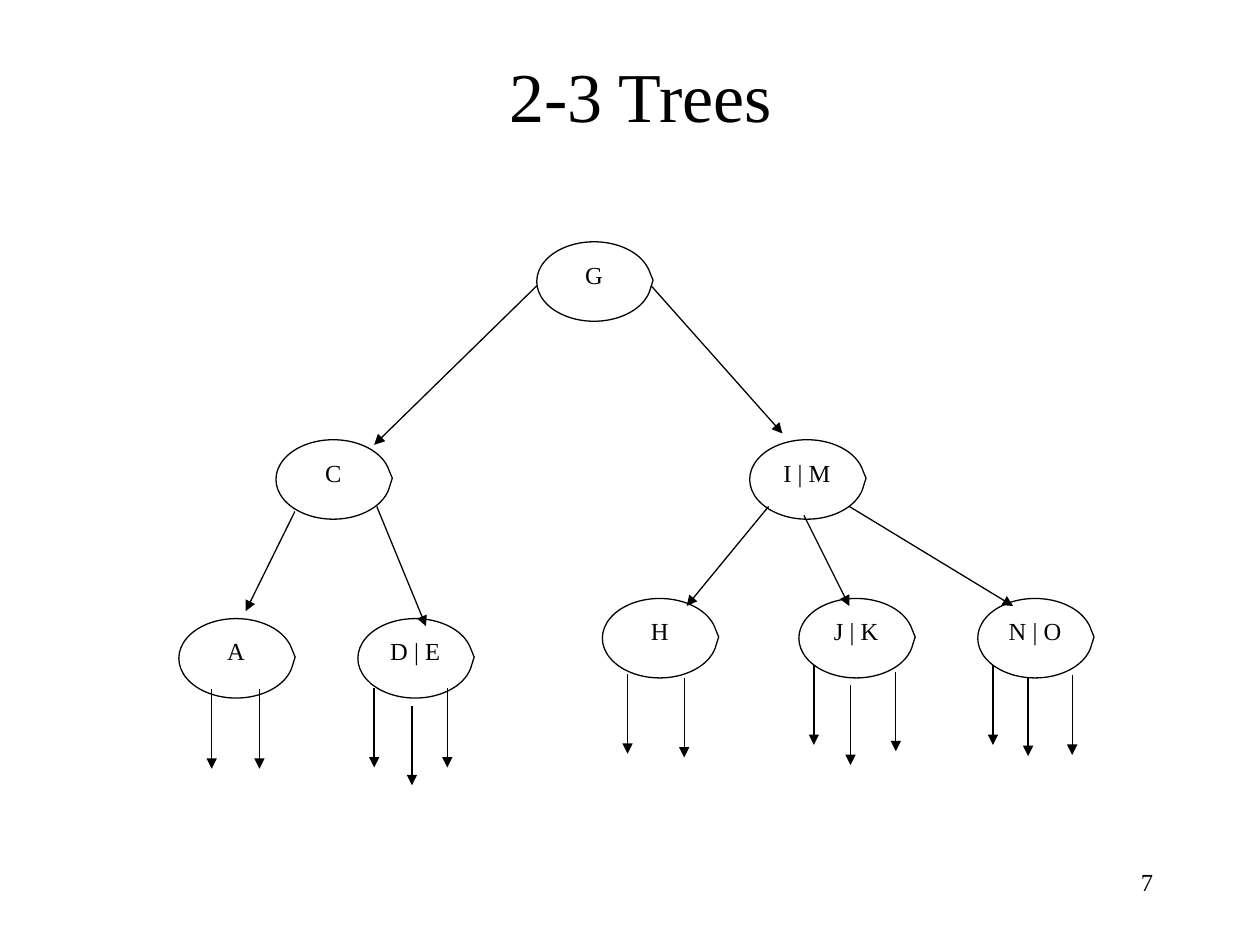
import lxml.etree
import pptx
import pptx.dml.color
import pptx.enum.shapes
import pptx.enum.text
import pptx.oxml.ns
import pptx.util

Pt = pptx.util.Pt
qn = pptx.oxml.ns.qn
ALIGN = pptx.enum.text.PP_ALIGN
ANCHOR = pptx.enum.text.MSO_ANCHOR
COLORS = {"ink": "000000", "paper": "FFFFFF"}
INK = pptx.dml.color.RGBColor.from_string(COLORS["ink"])
PAPER = pptx.dml.color.RGBColor.from_string(COLORS["paper"])
FRAME = {
    "margin_left": Pt(7.2),
    "margin_right": Pt(7.2),
    "margin_top": Pt(3.6),
    "margin_bottom": Pt(3.6),
}


def write(shape, text, size, align, anchor, wrap):
    frame = shape.text_frame
    frame.text = text
    settings = FRAME | {"vertical_anchor": anchor, "word_wrap": wrap}
    for name, value in settings.items():
        setattr(frame, name, value)
    paragraph = frame.paragraphs[0]
    paragraph.alignment = align
    font = paragraph.runs[0].font
    for name, value in {"name": "Times New Roman", "size": Pt(size)}.items():
        setattr(font, name, value)
    font.color.rgb = INK


def draw_arrow(x1, y1, x2, y2):
    arrow = slide.shapes.add_connector(
        pptx.enum.shapes.MSO_CONNECTOR.STRAIGHT, Pt(x1), Pt(y1), Pt(x2), Pt(y2)
    )
    arrow.line.color.rgb = INK
    arrow.line.width = Pt(0.75)
    line = arrow.line._get_or_add_ln()
    lxml.etree.SubElement(line, qn("a:tailEnd"), type="triangle")
    lxml.etree.SubElement(arrow._element.spPr, qn("a:effectLst"))


deck = pptx.Presentation()
deck.slide_width = Pt(720)
deck.slide_height = Pt(540)
slide = deck.slides.add_slide(deck.slide_layouts[5])

page_number = slide.shapes.add_textbox(Pt(516), Pt(492), Pt(150), Pt(36))
write(page_number, "7", 14, ALIGN.RIGHT, ANCHOR.TOP, True)

heading = slide.shapes.title
bounds = {"left": 60, "top": 30, "width": 612, "height": 48}
for name, value in bounds.items():
    setattr(heading, name, Pt(value))
write(heading, "2-3 Trees", 40, ALIGN.CENTER, ANCHOR.MIDDLE, True)

levels = [
    (138.2, [("G", 306.7)]),
    (251.3, [("C", 157.7), ("I | M", 428.4)]),
    (353.5, [("A", 102.2), ("D | E", 204.5)]),
    (342, [("H", 344.2), ("J | K", 456.5), ("N | O", 558.7)]),
]
for top, nodes in levels:
    for keys, left in nodes:
        node = slide.shapes.add_shape(
            pptx.enum.shapes.MSO_SHAPE.OVAL_CALLOUT,
            Pt(left), Pt(top), Pt(65.5), Pt(45.4),
        )
        node.adjustments[0] = 0.515
        node.adjustments[1] = -0.016
        node.shadow.inherit = False
        node.fill.solid()
        node.fill.fore_color.rgb = PAPER
        node.line.color.rgb = INK
        node.line.width = Pt(0.75)
        write(node, keys, 14, ALIGN.CENTER, ANCHOR.TOP, False)

branches = [
    (306.7, 163.4, 213.8, 254.2),
    (372.2, 163.4, 447.1, 247.7),
    (168.5, 292.3, 140.4, 349.2),
    (215.3, 289.4, 243.4, 357.8),
    (439.2, 289.4, 392.4, 346.3),
    (459.4, 294.5, 485.3, 346.3),
    (485.3, 289.4, 578.9, 346.3),
]
for branch in branches:
    draw_arrow(*branch)

leaf_pointers = [
    (121, 393.8), (148.3, 393.8),
    (213.8, 393.1), (235.4, 403.2), (255.6, 393.1),
    (358.6, 385.2), (391, 387.4),
    (465.1, 380.2), (486, 391.7), (511.9, 383.8),
    (567.4, 380.2), (587.5, 386.6), (612.7, 385.9),
]
for x, top in leaf_pointers:
    draw_arrow(x, top, x, top + 45.5)

deck.save("out.pptx")
